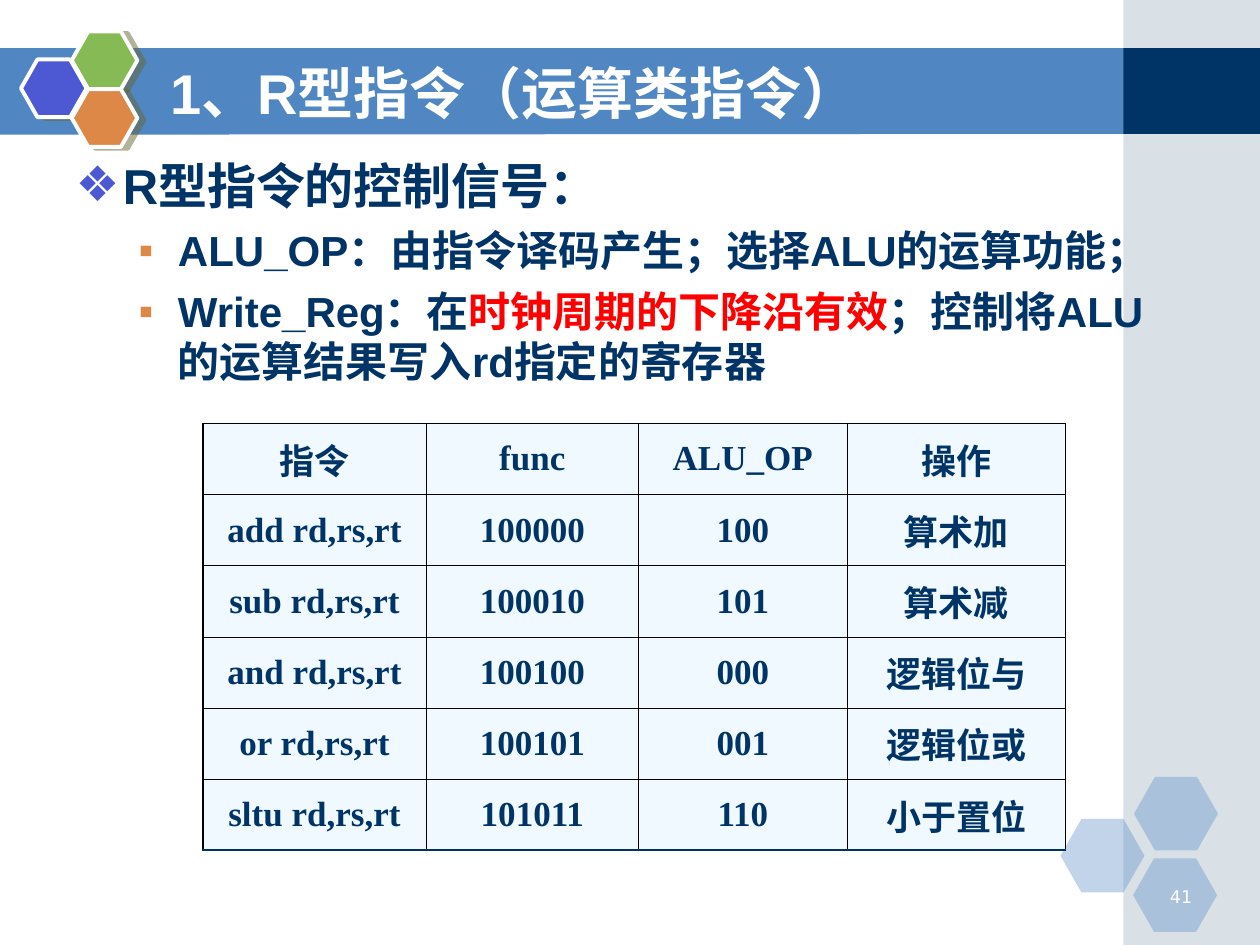
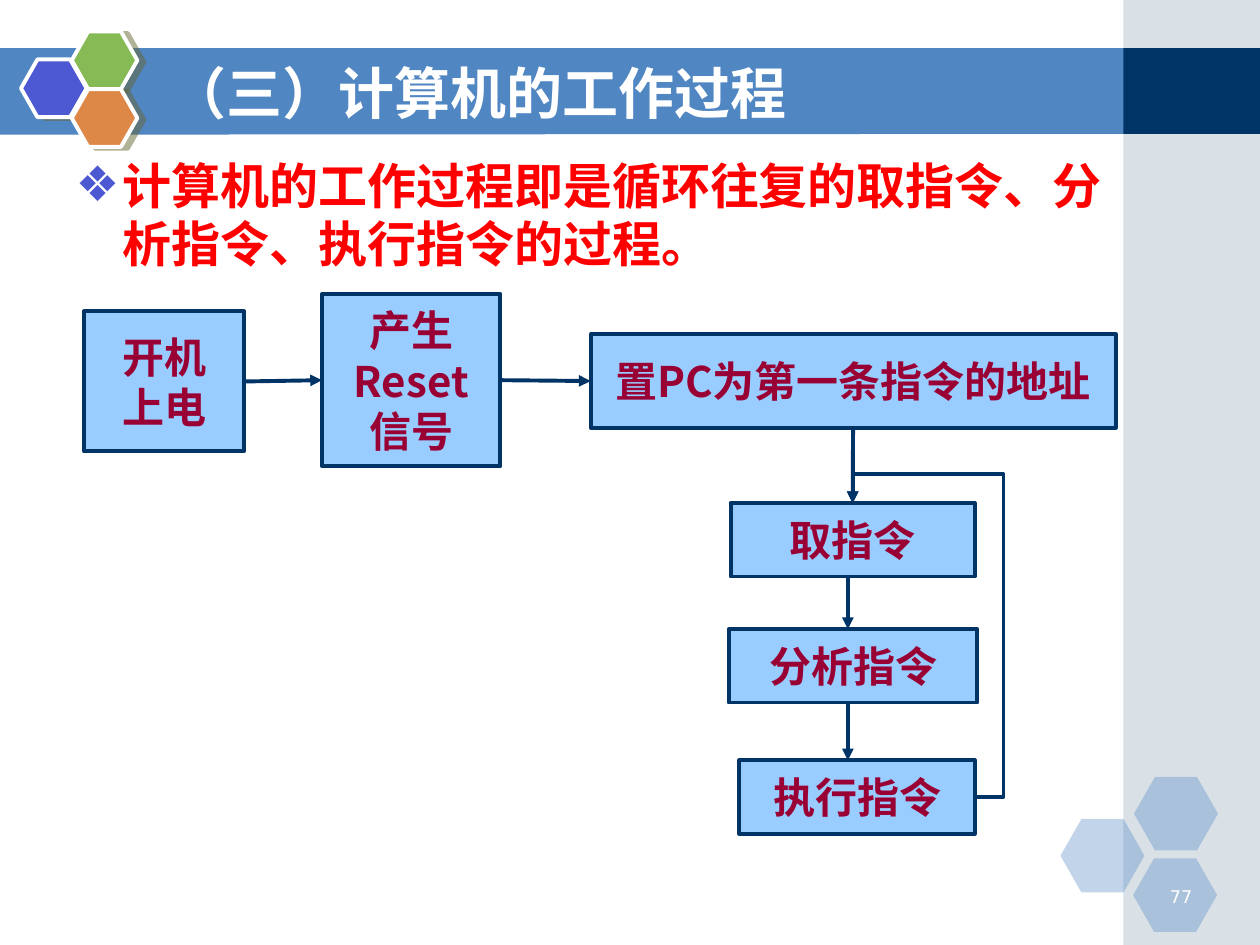
from collections import namedtuple
from dataclasses import dataclass

from lxml.etree import SubElement
from pptx import Presentation
from pptx.dml.color import RGBColor
from pptx.enum.shapes import MSO_CONNECTOR, MSO_SHAPE
from pptx.enum.text import MSO_ANCHOR, MSO_AUTO_SIZE, PP_ALIGN
from pptx.oxml.ns import qn
from pptx.util import Pt

Box = namedtuple("Box", "left top width height")


@dataclass(frozen=True)
class Theme:
    """Colours, fonts and type sizes shared by the slides."""
    navy: str = "003366"
    band: str = "5086C2"
    stripe: str = "A0B5C4"
    violet: str = "4C59D2"
    green: str = "85BA54"
    orange: str = "DE8848"
    shadow: str = "666633"
    white: str = "FFFFFF"
    black: str = "000000"
    red: str = "FF0000"
    cell: str = "EFF9FF"
    step: str = "99CCFF"
    wine: str = "990033"
    latin: str = "Arial"
    chinese: str = "Noto Sans CJK SC"
    serif: str = "Times New Roman"
    number: str = "DejaVu Sans"
    title_size: int = 32
    body_sizes: tuple = (28, 24)
    table_size: int = 20
    step_size: int = 24
    number_size: int = 10
    line: float = 2.25


THEME = Theme()
SLIDE = Box(0, 0, 720, 540)
TITLE = Box(90, 30.2, 527.8, 44.6)
NUMBER = Box(652.3, 502.6, 36, 18)


def within(box, left, top, width, height):
    """Return a box placed relative to the corner of another box."""
    return Box(box.left + left, box.top + top, width, height)


def lengths(box):
    """Return the four lengths of a box in points."""
    return [Pt(value) for value in box]


def place(shape, box):
    """Move and size a shape to a box."""
    shape.left, shape.top, shape.width, shape.height = lengths(box)


def add_run(paragraph, text, size, font, color, bold=True):
    """Add one formatted run to a paragraph."""
    run = paragraph.add_run()
    run.text = text
    run.font.size = Pt(size)
    run.font.bold = bold
    run.font.color.rgb = RGBColor.from_string(color)
    run.font.name = font
    SubElement(run.font._element, qn("a:ea")).set("typeface", THEME.chinese)


def paint(shape, color, line=None, alpha=None):
    """Give a shape a plain fill, an optional outline and transparency."""
    shape.shadow.inherit = False
    shape.fill.solid()
    shape.fill.fore_color.rgb = RGBColor.from_string(color)
    if alpha:
        fill = shape._element.spPr.find(qn("a:solidFill"))
        SubElement(fill[0], qn("a:alpha")).set("val", str(alpha * 1000))
    if line:
        shape.line.color.rgb = RGBColor.from_string(line)
        shape.line.width = Pt(THEME.line)
    else:
        shape.line.fill.background()


def add_panel(slide, kind, box, color, line=None, alpha=None):
    """Add a painted preset shape."""
    shape = slide.shapes.add_shape(kind, *lengths(box))
    paint(shape, color, line, alpha)
    return shape


def add_hexagon(slide, box, color, line=None, alpha=None):
    """Add a regular hexagon."""
    hexagon = add_panel(slide, MSO_SHAPE.HEXAGON, box, color, line, alpha)
    hexagon.adjustments[0] = 0.285
    return hexagon


def cast_shadow(shape):
    """Add a hard shadow to the right of a shape."""
    effects = shape._element.spPr.find(qn("a:effectLst"))
    shadow = SubElement(effects, qn("a:outerShdw"), blurRad="0",
                        dist=str(Pt(4.1)), dir=str(14 * 60000))
    color = SubElement(shadow, qn("a:srgbClr"), val=THEME.shadow)
    SubElement(color, qn("a:alpha"), val="50000")


def draw_frame(slide, box):
    """Draw the title band, side stripe and hexagon clusters."""
    corners = [(0, 27.5), (644.5, 27.5), (644.5, 76.5), (0, 77)]
    points = [(Pt(box.left + x), Pt(box.top + y)) for x, y in corners]
    builder = slide.shapes.build_freeform(*points[0])
    builder.add_line_segments(points[1:], close=True)
    paint(builder.convert_to_shape(), THEME.band)
    add_panel(slide, MSO_SHAPE.RECTANGLE, within(box, 642, 0, 78, box.height),
              THEME.stripe, alpha=40)
    add_panel(slide, MSO_SHAPE.RECTANGLE, within(box, 642, 27.5, 78, 49), THEME.navy)
    for left, top in [(606, 468), (648, 444), (647.5, 490.5)]:
        add_hexagon(slide, within(box, left, top, 48, 42), THEME.band, alpha=35)
    for left, top, color in [(12, 34, THEME.violet), (41, 18, THEME.green),
                             (41, 51, THEME.orange)]:
        hexagon = add_hexagon(slide, within(box, left, top, 37.5, 33), color, THEME.white)
        cast_shadow(hexagon)


def move_to_layout(slide, layout):
    """Move the drawn frame behind the placeholders of the layout."""
    frame = [shape for shape in slide.shapes if not shape.is_placeholder]
    for index, shape in enumerate(frame):
        shape._element.nvSpPr.cNvPr.set("id", str(100 + index))
        layout.shapes._spTree.insert(2 + index, shape._element)


def write_title(slide, box, text, font):
    """Fill the title placeholder."""
    title = slide.shapes.title
    place(title, box)
    frame = title.text_frame
    frame.auto_size = MSO_AUTO_SIZE.NONE
    frame.vertical_anchor = MSO_ANCHOR.MIDDLE
    paragraph = frame.paragraphs[0]
    paragraph.alignment = PP_ALIGN.LEFT
    add_run(paragraph, text, THEME.title_size, font, THEME.white)


def set_bullet(paragraph, level):
    """Give a paragraph the indent and bullet of its level."""
    margin, indent, color, mark = [(27, -27, THEME.violet, "❖"),
                                   (58.5, -22.5, THEME.orange, "▪")][level]
    properties = paragraph._p.get_or_add_pPr()
    properties.set("marL", str(Pt(margin)))
    properties.set("indent", str(Pt(indent)))
    bullet_color = SubElement(properties, qn("a:buClr"))
    SubElement(bullet_color, qn("a:srgbClr"), val=color)
    SubElement(properties, qn("a:buChar"), char=mark)


def write_body(slide, box, bullets, font):
    """Fill the body placeholder with bullets made of coloured runs."""
    body = slide.placeholders[1]
    place(body, box)
    frame = body.text_frame
    frame.auto_size = MSO_AUTO_SIZE.NONE
    for index, (level, colored_texts) in enumerate(bullets):
        paragraph = frame.add_paragraph() if index else frame.paragraphs[0]
        paragraph.level = level
        set_bullet(paragraph, level)
        paragraph.space_before = Pt(6 if index else 0)
        for text, color in colored_texts:
            add_run(paragraph, text, THEME.body_sizes[level], font, color)


def write_number(slide, box, number):
    """Write the slide number in the lower hexagon."""
    frame = slide.shapes.add_textbox(*lengths(box)).text_frame
    frame.word_wrap = True
    paragraph = frame.paragraphs[0]
    paragraph.alignment = PP_ALIGN.RIGHT
    add_run(paragraph, number, THEME.number_size, THEME.number, THEME.white, bold=False)


def set_borders(cell, borders):
    """Draw the left, right, top and bottom borders of a cell."""
    properties = cell._tc.get_or_add_tcPr()
    for index, (side, (color, width)) in enumerate(zip("LRTB", borders)):
        line = SubElement(properties, qn(f"a:ln{side}"), w=str(Pt(width)))
        fill = SubElement(line, qn("a:solidFill"))
        SubElement(fill, qn("a:srgbClr"), val=color)
        properties.insert(index, line)


def draw_table(slide, box, rows, widths):
    """Draw the instruction table with thin inner and thicker outer borders."""
    table = slide.shapes.add_table(len(rows), len(widths), *lengths(box)).table
    table.first_row = table.horz_banding = False
    for column, width in zip(table.columns, widths):
        column.width = Pt(width)
    inner, outer, bottom = (THEME.black, 0.45), (THEME.black, 0.96), (THEME.navy, 1.08)
    last_row, last_column = len(rows) - 1, len(widths) - 1
    for y, row in enumerate(rows):
        table.rows[y].height = Pt(box.height / len(rows))
        for x, text in enumerate(row):
            cell = table.cell(y, x)
            cell.fill.solid()
            cell.fill.fore_color.rgb = RGBColor.from_string(THEME.cell)
            cell.vertical_anchor = MSO_ANCHOR.MIDDLE
            paragraph = cell.text_frame.paragraphs[0]
            paragraph.alignment = PP_ALIGN.CENTER
            add_run(paragraph, text, THEME.table_size, THEME.serif, THEME.navy)
            set_borders(cell, [inner if x else outer,
                               outer if x == last_column else inner,
                               inner if y else outer,
                               bottom if y == last_row else inner])


def add_step(slide, box, lines):
    """Add one box of the flow chart."""
    step = add_panel(slide, MSO_SHAPE.RECTANGLE, box, THEME.step, THEME.navy)
    frame = step.text_frame
    frame.word_wrap = False
    frame.margin_left = frame.margin_right = Pt(1.44)
    frame.vertical_anchor = MSO_ANCHOR.MIDDLE
    for index, text in enumerate(lines):
        paragraph = frame.add_paragraph() if index else frame.paragraphs[0]
        paragraph.alignment = PP_ALIGN.CENTER
        add_run(paragraph, text, THEME.step_size, THEME.chinese, THEME.wine)
    return step


def add_arrow(slide, kind, start=(0, 0), end=(0, 0)):
    """Add a connector with an arrowhead at its end."""
    arrow = slide.shapes.add_connector(kind, *start, *end)
    arrow.line.color.rgb = RGBColor.from_string(THEME.navy)
    arrow.line.width = Pt(THEME.line)
    SubElement(arrow.line._get_or_add_ln(), qn("a:tailEnd"), type="triangle")
    SubElement(arrow._element.spPr, qn("a:effectLst"))
    return arrow


def draw_flow(slide, box):
    """Draw the start-up chain and the instruction loop."""
    steps = [((0, 10, 91.5, 80), ["开机", "上电"]),
             ((136, 0, 102, 98.5), ["产生", "Reset", "信号"]),
             ((289.5, 23, 300, 53.5), ["置PC为第一条指令的地址"]),
             ((369.5, 119.5, 139.5, 42), ["取指令"]),
             ((368.5, 191.5, 142, 42), ["分析指令"]),
             ((374.5, 266.5, 134.5, 42), ["执行指令"])]
    power, reset, counter, fetch, decode, execute = [
        add_step(slide, within(box, *area), lines) for area, lines in steps]
    for source, source_side, target, target_side in [
            (power, 3, reset, 1), (reset, 3, counter, 1), (counter, 2, fetch, 0)]:
        arrow = add_arrow(slide, MSO_CONNECTOR.STRAIGHT)
        arrow.begin_connect(source, source_side)
        arrow.end_connect(target, target_side)
    middle = Pt(box.left + 436.5)
    for source, target in [(fetch, decode), (decode, execute)]:
        add_arrow(slide, MSO_CONNECTOR.STRAIGHT,
                  (middle, source.top + source.height), (middle, target.top))
    loop = add_arrow(slide, MSO_CONNECTOR.ELBOW,
                     (execute.left + execute.width, execute.top + execute.height // 2),
                     (fetch.left + fetch.width // 2, fetch.top))
    geometry = loop._element.spPr.find(qn("a:prstGeom"))
    geometry.set("prst", "bentConnector4")
    guides = geometry.find(qn("a:avLst"))
    for name, value in [("adj1", -23600), ("adj2", 109900)]:
        SubElement(guides, qn("a:gd"), name=name, fmla=f"val {value}")


def build_instruction_slide(slide):
    """Build the slide on R-type instructions."""
    write_title(slide, TITLE, "1、R型指令（运算类指令）", THEME.latin)
    write_body(slide, Box(36, 85, 648, 151), [
        (0, [("R型指令的控制信号：", THEME.navy)]),
        (1, [("ALU_OP：由指令译码产生；选择ALU的运算功能；", THEME.navy)]),
        (1, [("Write_Reg：在", THEME.navy),
             ("时钟周期的下降沿有效", THEME.red),
             ("；控制将ALU的运算结果写入rd指定的寄存器", THEME.navy)]),
    ], THEME.latin)
    draw_table(slide, Box(116, 242, 493, 243.9), [
        ("指令", "func", "ALU_OP", "操作"),
        ("add rd,rs,rt", "100000", "100", "算术加"),
        ("sub rd,rs,rt", "100010", "101", "算术减"),
        ("and rd,rs,rt", "100100", "000", "逻辑位与"),
        ("or rd,rs,rt", "100101", "001", "逻辑位或"),
        ("sltu rd,rs,rt", "101011", "110", "小于置位"),
    ], [127.5, 121.5, 119, 125])
    write_number(slide, NUMBER, "41")


def build_process_slide(slide):
    """Build the slide on how a computer works."""
    write_title(slide, TITLE, "（三）计算机的工作过程", THEME.chinese)
    write_body(slide, Box(36, 85, 607.7, 77.8), [
        (0, [("计算机的工作过程即是循环往复的取指令、分析指令、执行指令的过程。", THEME.red)]),
    ], THEME.chinese)
    draw_flow(slide, Box(48, 168, 590, 309))
    write_number(slide, NUMBER, "77")


def main():
    """Build and save the presentation."""
    presentation = Presentation()
    presentation.slide_width, presentation.slide_height = Pt(SLIDE.width), Pt(SLIDE.height)
    layout = presentation.slide_layouts[1]
    first, second = [presentation.slides.add_slide(layout) for _ in range(2)]
    draw_frame(first, SLIDE)
    move_to_layout(first, layout)
    build_instruction_slide(first)
    build_process_slide(second)
    presentation.save("out.pptx")


if __name__ == "__main__":
    main()
